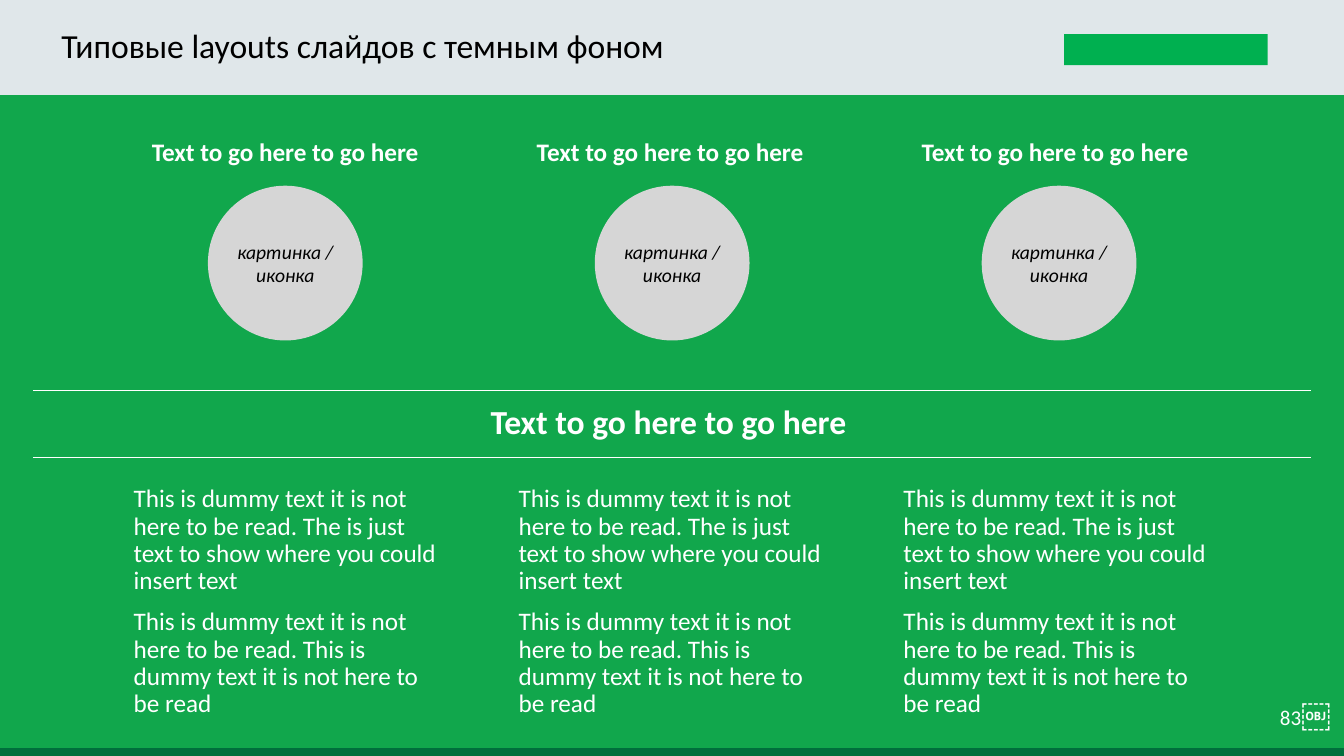
from pptx import Presentation
from pptx.dml.color import RGBColor
from pptx.enum.shapes import MSO_CONNECTOR, MSO_SHAPE
from pptx.enum.text import MSO_ANCHOR, PP_ALIGN
from pptx.oxml.ns import qn
from pptx.util import Cm, Pt
from lxml import etree

RECT, OVAL = MSO_SHAPE.RECTANGLE, MSO_SHAPE.OVAL
LINE = MSO_CONNECTOR.STRAIGHT
TOP, MID = MSO_ANCHOR.TOP, MSO_ANCHOR.MIDDLE
LEFT, CENTER = PP_ALIGN.LEFT, PP_ALIGN.CENTER
WIDE, HIGH = 33.87, 19.05
WHITE, BLACK = "FFFFFF", "000000"


def color(code):
    return RGBColor.from_string(code)


class Deck:
    face = "Calibri"
    pads = (0.25, 0.13, 0.25, 0.13)

    def __init__(self, back):
        self.file = Presentation()
        self.file.slide_width, self.file.slide_height = Cm(WIDE), Cm(HIGH)
        self.slide = self.file.slides.add_slide(self.file.slide_layouts[6])
        self.slide.background.fill.solid()
        self.slide.background.fill.fore_color.rgb = color(back)

    def shape(self, kind, box, fill):
        item = self.slide.shapes.add_shape(kind, *map(Cm, box))
        item.shadow.inherit = False
        item.fill.solid()
        item.fill.fore_color.rgb = color(fill)
        item.line.fill.background()
        return item

    def label(self, item, lines, size, tint=WHITE, align=LEFT, anchor=MID,
              pads=pads, lead=0.9, bold=False, slant=False):
        frame = item.text_frame
        frame.word_wrap = True
        frame.vertical_anchor = anchor
        (frame.margin_left, frame.margin_top,
         frame.margin_right, frame.margin_bottom) = map(Cm, pads)
        for i, line in enumerate(lines):
            para = frame.add_paragraph() if i else frame.paragraphs[0]
            para.text = line
            para.alignment = align
            para.line_spacing = lead
            para.space_before = Pt(10 if i else 0)
            font = para.font
            font.name, font.size = self.face, Pt(size)
            font.bold, font.italic = bold, slant
            font.color.rgb = color(tint)
        return frame

    def text(self, box, lines, size, **look):
        item = self.slide.shapes.add_textbox(*map(Cm, box))
        return self.label(item, lines, size, **look)

    def rule(self, left, right, top):
        item = self.slide.shapes.add_connector(
            LINE, Cm(left), Cm(top), Cm(right), Cm(top))
        item.line.color.rgb = color(WHITE)
        item.line.width = Pt(0.5)
        etree.SubElement(item._element.spPr, qn("a:effectLst"))


def main():
    deck = Deck("11A74C")
    head = "Text to go here to go here "
    body = [
        "This is dummy text it is not here to be read. The is just text "
        "to show where you could insert text",
        "This is dummy text it is not here to be read. This is dummy text "
        "it is not here to be read",
    ]

    # Footer bar and page number
    deck.shape(RECT, (0, 18.85, WIDE, 0.2), "006F3C")
    page = deck.text((31.93, 17.55, 1.93, 0.89), ["83"], 15,
                     align=CENTER, pads=(0, 0, 0, 0), lead=1.0)
    mark = page.paragraphs[0].add_run()
    mark.text = "￼"
    mark.font.name, mark.font.size = "Cabin", Pt(21)

    # Header with title and emblem block
    deck.shape(RECT, (0, 0, WIDE, 2.39), "E0E7EA")
    deck.shape(RECT, (26.82, 0.86, 5.13, 0.78), "00B050")
    deck.text((1.14, 0, 25.53, 2.39), ["Типовые layouts слайдов с темным фоном"],
              24, tint=BLACK, pads=(0.41, 0.13, 0.25, 0.13))

    # Middle band
    for top in (9.83, 11.53):
        deck.rule(0.84, 33.03, top)
    deck.text((0.84, 9.88, 32.2, 1.57), [head], 24, align=CENTER, bold=True)

    # Three columns: heading, circle, body
    for col in range(3):
        left = 3.12 + 9.7 * col
        deck.text((left, 3.4, 8.28, 1.42), [head], 18,
                  align=CENTER, anchor=TOP, bold=True)
        disc = deck.shape(OVAL, (5.24 + 9.75 * col, 4.68, 3.9, 3.9), "D6D6D6")
        deck.label(disc, ["картинка / иконка"], 14, tint=BLACK, align=CENTER,
                   pads=(0.1, 0.1, 0.1, 0.1), lead=1.0, slant=True)
        deck.text((left, 12.12, 8.28, 1.42), body, 18, anchor=TOP)

    deck.file.save("out.pptx")


if __name__ == "__main__":
    main()
